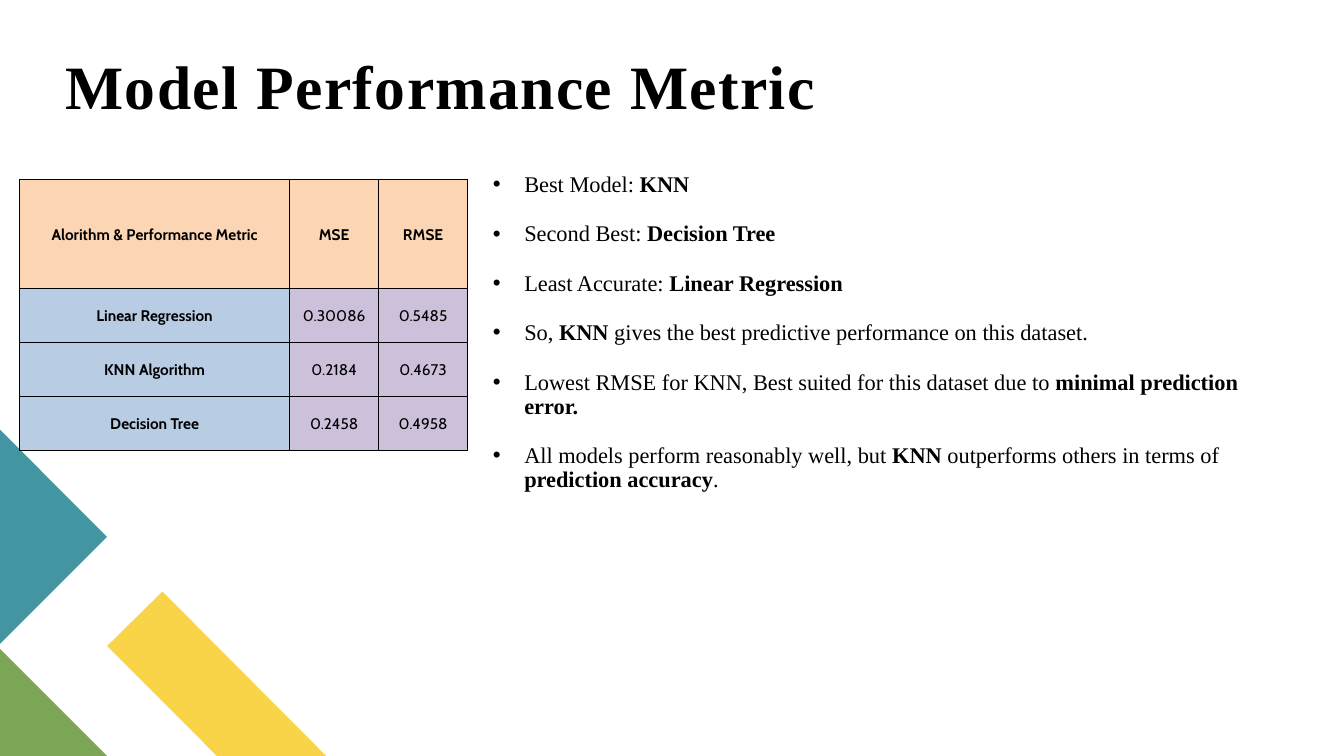
"""Build the Model Performance Metric slide."""
from lxml.etree import SubElement
from pptx import Presentation
from pptx.dml.color import RGBColor
from pptx.enum.text import MSO_ANCHOR as Anchor, PP_ALIGN as Align
from pptx.oxml.ns import qn
from pptx.util import Pt

TITLE = "Model Performance Metric"
FINDINGS = [
    "Best Model: **KNN**",
    "Second Best: **Decision Tree**",
    "Least Accurate: **Linear Regression**",
    "So, **KNN** gives the best predictive performance on this dataset.",
    "Lowest RMSE for KNN, Best suited for this dataset due to **minimal prediction error.**",
    "All models perform reasonably well, but **KNN** outperforms others in terms of "
    "**prediction accuracy**.",
]
METRICS = [
    ("Alorithm & Performance Metric", "MSE", "RMSE"),
    ("Linear Regression", "0.30086", "0.5485"),
    ("KNN Algorithm", "0.2184", "0.4673"),
    ("Decision Tree", "0.2458", "0.4958"),
]

BLACK = RGBColor(0x00, 0x00, 0x00)
PEACH = RGBColor(0xFC, 0xD5, 0xB4)
LIGHT_BLUE = RGBColor(0xB8, 0xCC, 0xE4)
LILAC = RGBColor(0xCC, 0xC0, 0xDA)
YELLOW = RGBColor(0xF9, 0xD4, 0x48)
GREEN = RGBColor(0x7C, 0xA6, 0x55)
TEAL = RGBColor(0x44, 0x95, 0xA2)

SERIF = "Times New Roman"
SANS = "Cabin"
COLUMN_WIDTHS = (193, 63.5, 63.5)
ROW_HEIGHTS = (77.8, 38.6, 38.6, 38.6)
CORNER_SHAPES = [
    (YELLOW, [(233, 540), (155, 540), (76.5, 461.5), (116, 422.5)]),
    (GREEN, [(76.5, 540), (0, 540), (0, 463.5)]),
    (TEAL, [(0, 307), (76.5, 383.5), (0, 460)]),
]


def style_run(run, font_name, size, bold):
    font = run.font
    font.name, font.size, font.bold = font_name, Pt(size), bold
    font.color.rgb = BLACK


def add_text_frame(slide, left, top, width, height, top_inset=0):
    frame = slide.shapes.add_textbox(Pt(left), Pt(top), Pt(width), Pt(height)).text_frame
    frame.word_wrap = True
    frame.margin_left = frame.margin_right = frame.margin_bottom = 0
    frame.margin_top = Pt(top_inset)
    return frame


def add_corner_shape(slide, color, points):
    start, *others = [(Pt(x), Pt(y)) for x, y in points]
    builder = slide.shapes.build_freeform(*start)
    builder.add_line_segments(others, close=True)
    shape = builder.convert_to_shape()
    shape.shadow.inherit = False
    shape.fill.solid()
    shape.fill.fore_color.rgb = color
    shape.line.fill.background()


def add_title(slide):
    frame = add_text_frame(slide, 46.8, 8, 844.6, 78.5)
    frame.vertical_anchor = Anchor.BOTTOM
    paragraph = frame.paragraphs[0]
    paragraph.text = TITLE
    paragraph.line_spacing = 0.8
    run = paragraph.runs[0]
    style_run(run, SERIF, 44, True)
    run.font._element.set("spc", "100")


def add_findings(slide):
    frame = add_text_frame(slide, 352, 105.8, 552.2, 360, top_inset=18)
    for index, finding in enumerate(FINDINGS):
        paragraph = frame.add_paragraph() if index else frame.paragraphs[0]
        paragraph.line_spacing = 0.9
        paragraph.space_before = Pt(18)
        properties = paragraph._p.get_or_add_pPr()
        properties.set("marL", str(Pt(22.5)))
        properties.set("indent", str(-Pt(22.5)))
        SubElement(properties, qn("a:buFont"), typeface="Arial")
        SubElement(properties, qn("a:buChar"), char="•")
        for position, part in enumerate(finding.split("**")):
            if part:
                run = paragraph.add_run()
                run.text = part
                style_run(run, SERIF, 16, position % 2 == 1)


def set_borders(cell, left, right, top, bottom):
    properties = cell._tc.get_or_add_tcPr()
    for side, width in zip("LRTB", (left, right, top, bottom)):
        line = SubElement(properties, qn(f"a:ln{side}"), w=str(Pt(width)))
        fill = SubElement(line, qn("a:solidFill"))
        SubElement(fill, qn("a:srgbClr"), val=str(BLACK))


def add_metrics_table(slide):
    table = slide.shapes.add_table(
        len(METRICS), len(COLUMN_WIDTHS), Pt(14), Pt(128.3),
        Pt(sum(COLUMN_WIDTHS)), Pt(sum(ROW_HEIGHTS))).table
    for column, width in zip(table.columns, COLUMN_WIDTHS):
        column.width = Pt(width)
    for row_index, (values, height) in enumerate(zip(METRICS, ROW_HEIGHTS)):
        table.rows[row_index].height = Pt(height)
        for column_index, value in enumerate(values):
            cell = table.cell(row_index, column_index)
            header, label = row_index == 0, column_index == 0
            set_borders(cell, 1 if header or label else 0.5,
                        1 if header and column_index < 2 else 0.5,
                        1 if header else 0.5, 0.5)
            cell.fill.solid()
            cell.fill.fore_color.rgb = PEACH if header else LIGHT_BLUE if label else LILAC
            cell.margin_left = cell.margin_right = cell.margin_top = Pt(0.7)
            cell.margin_bottom = 0
            cell.vertical_anchor = Anchor.MIDDLE
            paragraph = cell.text_frame.paragraphs[0]
            paragraph.text = value
            paragraph.alignment = Align.CENTER
            style_run(paragraph.runs[0], SANS, 11, header or label)


def main():
    presentation = Presentation()
    presentation.slide_width, presentation.slide_height = Pt(960), Pt(540)
    slide = presentation.slides.add_slide(presentation.slide_layouts[6])
    add_title(slide)
    add_findings(slide)
    for color, points in CORNER_SHAPES:
        add_corner_shape(slide, color, points)
    add_metrics_table(slide)
    presentation.save("out.pptx")


if __name__ == "__main__":
    main()
